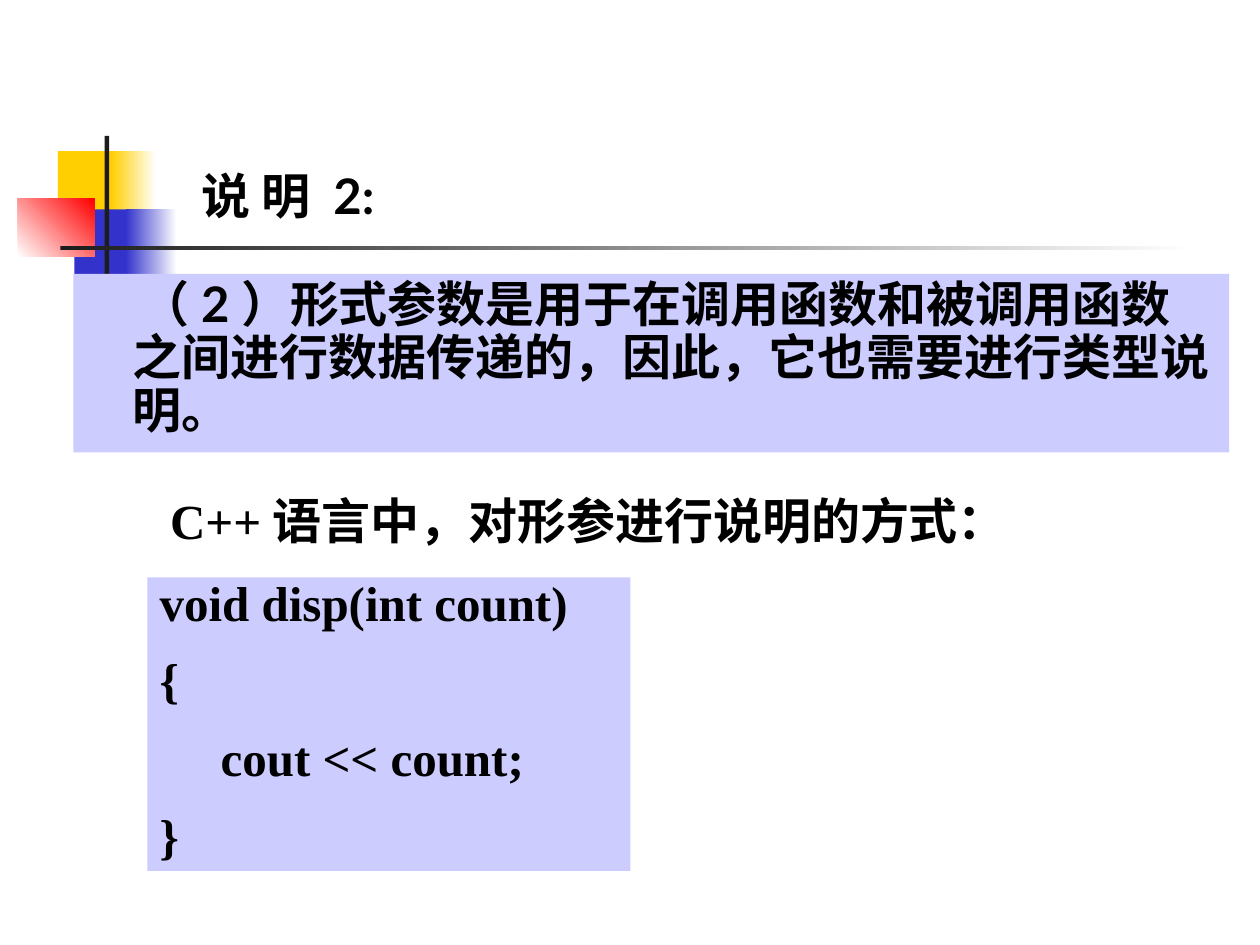
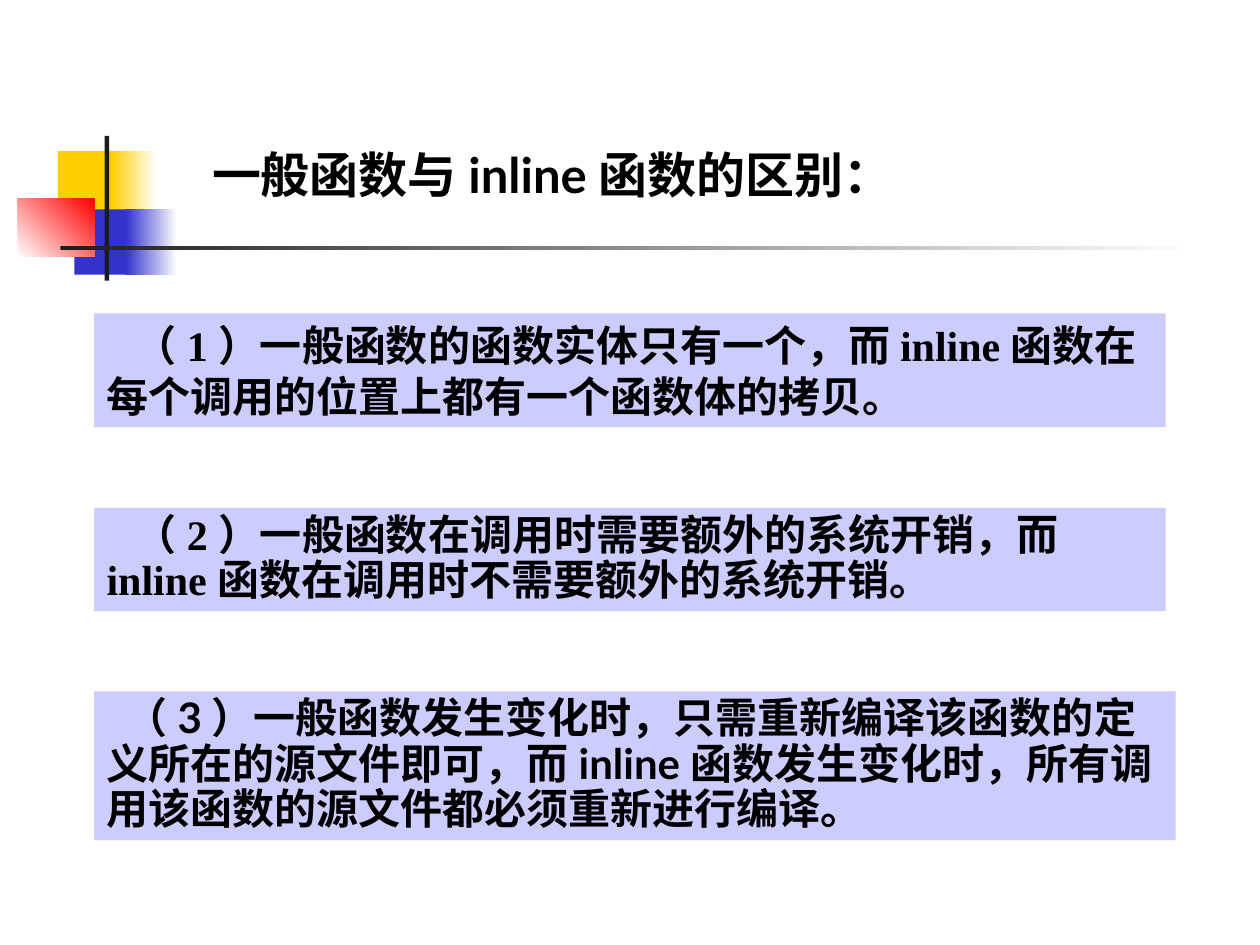
from dataclasses import dataclass
from itertools import groupby

from lxml import etree
from pptx import Presentation
from pptx import util as u
from pptx.dml.color import RGBColor
from pptx.enum import shapes, text
from pptx.oxml.ns import qn

COLORS = {
    "text": "000000",
    "panel": "CCCCFF",
    "yellow": "FFCF01",
    "blue": "3333CC",
    "red": "FF0000",
    "bar": "1C1C1C",
    "white": "FFFFFF",
}
CJK, LATIN, SERIF = "Noto Sans CJK SC", "Lato", "Times New Roman"
TITLE_ONLY = 5


@dataclass(frozen=True)
class Box:
    """A position and size in centimetres."""
    left: float
    top: float
    width: float
    height: float

    def lengths(self) -> list[u.Cm]:
        return [u.Cm(n) for n in (self.left, self.top, self.width, self.height)]


@dataclass(frozen=True)
class Ornament:
    box: Box
    color: str
    fade_to: str = ""
    angle: float = 0


@dataclass(frozen=True)
class Para:
    """One paragraph; ascii_font, if given, sets its ASCII stretches apart."""
    content: str
    font: str = CJK
    ascii_font: str = ""
    size: float = 28
    spacing: float | None = None
    before: float = 0
    margin: float = 0
    indent: float = 0
    align: text.PP_ALIGN = text.PP_ALIGN.LEFT


@dataclass(frozen=True)
class TextBlock:
    box: Box
    paras: tuple[Para, ...]
    fill: str = "panel"


ORNAMENTS = (
    Ornament(Box(1.17, 3.05, 1.22, 1.32), "yellow"),
    Ornament(Box(2.24, 3.05, 0.91, 1.32), "yellow", "white"),
    Ornament(Box(1.5, 4.22, 1.17, 1.32), "blue"),
    Ornament(Box(2.54, 4.22, 1.02, 1.32), "blue", "white"),
    Ornament(Box(0.36, 4.01, 1.55, 1.17), "white", "red", 45),
    Ornament(Box(2.11, 2.74, 0.09, 2.92), "bar"),
    Ornament(Box(1.22, 4.95, 22.86, 0.09), "bar", "white"),
)


def rgb(name: str) -> RGBColor:
    return RGBColor.from_string(COLORS[name])


def add_ornament(s, item: Ornament):
    sp = s.shapes.add_shape(shapes.MSO_SHAPE.RECTANGLE, *item.box.lengths())
    sp.shadow.inherit = False
    sp.line.fill.background()
    if item.fade_to:
        sp.fill.gradient()
        sp.fill.gradient_angle = item.angle
        for stop, name in zip(sp.fill.gradient_stops, (item.color, item.fade_to)):
            stop.color.rgb = rgb(name)
    else:
        sp.fill.solid()
        sp.fill.fore_color.rgb = rgb(item.color)
    return sp


def decorate_layout(s) -> None:
    """Draw the ornaments and move them to the layout that slides share."""
    tree = s.slide_layout.shapes._spTree
    for number, item in enumerate(ORNAMENTS):
        element = add_ornament(s, item)._element
        element.nvSpPr.cNvPr.set("id", str(100 + number))
        tree.insert(2 + number, element)


def write_paragraph(p, para: Para) -> None:
    p.alignment = para.align
    p.line_spacing = para.spacing
    p.space_before = u.Pt(para.before)
    p.font.name = para.font
    p.font.size = u.Pt(para.size)
    p.font.bold = True
    p.font.color.rgb = rgb("text")
    pPr = p._p.get_or_add_pPr()
    pPr.set("marL", str(u.Cm(para.margin)))
    pPr.set("indent", str(u.Cm(para.indent)))
    etree.SubElement(pPr.find(qn("a:defRPr")), qn("a:ea"), typeface=CJK)
    if not para.ascii_font:
        p.add_run().text = para.content
        return
    for is_ascii, letters in groupby(para.content, str.isascii):
        r = p.add_run()
        r.text = "".join(letters)
        if is_ascii:
            r.font.name = para.ascii_font


def fill_frame(tf, paras: tuple[Para, ...]) -> None:
    tf.word_wrap = True
    tf.auto_size = text.MSO_AUTO_SIZE.NONE
    for number, para in enumerate(paras):
        write_paragraph(tf.add_paragraph() if number else tf.paragraphs[0], para)


def set_title(s, box: Box, para: Para) -> None:
    sp = s.shapes.title
    sp.left, sp.top, sp.width, sp.height = box.lengths()
    sp.text_frame.vertical_anchor = text.MSO_ANCHOR.BOTTOM
    fill_frame(sp.text_frame, (para,))


def add_block(s, block: TextBlock) -> None:
    sp = s.shapes.add_textbox(*block.box.lengths())
    if block.fill:
        sp.fill.solid()
        sp.fill.fore_color.rgb = rgb(block.fill)
    fill_frame(sp.text_frame, block.paras)


def code_line(content: str, indent: float = 0) -> Para:
    return Para(content, SERIF, spacing=0.8, before=17.5, indent=indent)


PARAMETER_BLOCKS = (
    TextBlock(Box(1.48, 5.52, 23.3, 3.6), (
        Para("（2）形式参数是用于在调用函数和被调用函数之间进行数据传递的，"
             "因此，它也需要进行类型说明。",
             ascii_font=LATIN, spacing=0.9, before=7, margin=0.95, indent=0.15),
    )),
    TextBlock(Box(3.18, 10, 17.58, 2.15), (
        Para("C++语言中，对形参进行说明的方式：", SERIF,
             spacing=0.8, before=7, align=text.PP_ALIGN.JUSTIFY),
    ), fill=""),
    TextBlock(Box(2.97, 11.64, 9.74, 5.92), (
        code_line("void disp(int count)"),
        code_line("{"),
        code_line("cout << count;", indent=1.23),
        code_line("}"),
    )),
)

INLINE_BLOCKS = (
    TextBlock(Box(1.9, 6.32, 21.6, 2.29), (
        Para("（1）一般函数的函数实体只有一个，而inline函数在每个调用的位置上"
             "都有一个函数体的拷贝。",
             ascii_font=SERIF, size=24, indent=0.57),
    )),
    TextBlock(Box(1.9, 10.24, 21.6, 2.08), (
        Para("（2）一般函数在调用时需要额外的系统开销，而inline函数在调用时"
             "不需要额外的系统开销。",
             ascii_font=SERIF, size=24, spacing=0.9, before=6, indent=0.57),
    )),
    TextBlock(Box(1.9, 13.94, 21.8, 3), (
        Para("（3）一般函数发生变化时，只需重新编译该函数的定义所在的源文件即可，"
             "而inline函数发生变化时，所有调用该函数的源文件都必须重新进行编译。",
             ascii_font=LATIN, size=24, spacing=0.9, before=6, indent=0.38),
    )),
)

SLIDES = (
    (Box(3.81, 3.18, 5.08, 1.47), Para("说 明 2:", LATIN), PARAMETER_BLOCKS),
    (Box(4.02, 2.75, 15.67, 1.47),
     Para("一般函数与inline函数的区别：", ascii_font=LATIN), INLINE_BLOCKS),
)


def main() -> None:
    prs = Presentation()
    prs.slide_width, prs.slide_height = u.Cm(25.4), u.Cm(19.05)
    for number, (title_box, title, blocks) in enumerate(SLIDES):
        s = prs.slides.add_slide(prs.slide_layouts[TITLE_ONLY])
        if number == 0:
            decorate_layout(s)
        set_title(s, title_box, title)
        for block in blocks:
            add_block(s, block)
    prs.save("out.pptx")


if __name__ == "__main__":
    main()
